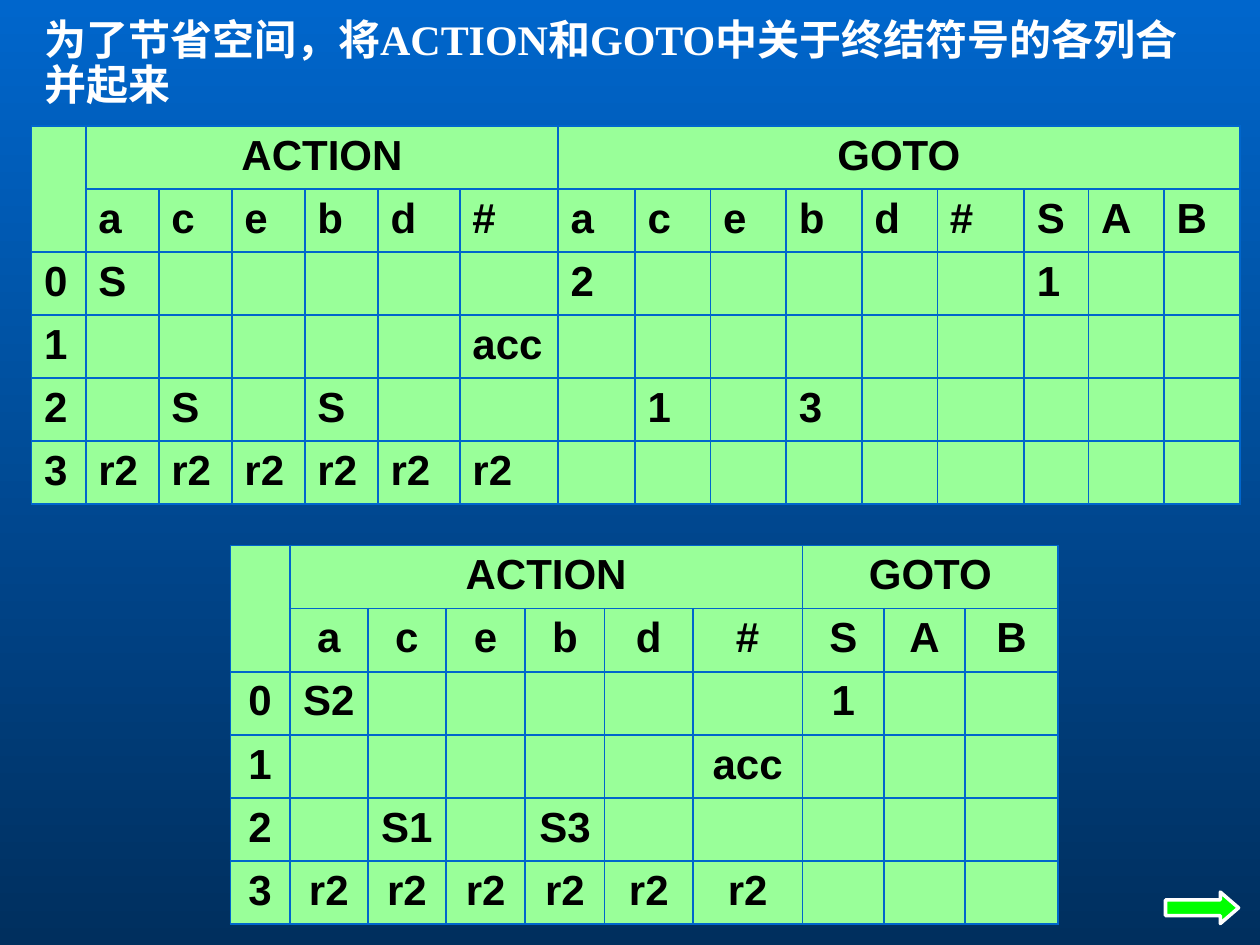
"""Build a slide comparing the full and the merged ACTION/GOTO parsing tables."""
from lxml.etree import SubElement
from pptx import Presentation
from pptx.dml.color import RGBColor
from pptx.enum.shapes import MSO_SHAPE
from pptx.enum.text import MSO_ANCHOR, MSO_AUTO_SIZE, PP_ALIGN
from pptx.oxml.ns import qn
from pptx.util import Inches, Pt

WHITE = RGBColor(0xFF, 0xFF, 0xFF)
BLACK = RGBColor(0x00, 0x00, 0x00)
BLUE = RGBColor(0x00, 0x66, 0xCC)
NAVY = RGBColor(0x00, 0x2F, 0x5E)
PALE_GREEN = RGBColor(0x99, 0xFF, 0x99)
BRIGHT_GREEN = RGBColor(0x00, 0xFF, 0x00)

TITLE = "为了节省空间，将ACTION和GOTO中关于终结符号的各列合并起来"
ROW_HEIGHT = 0.5
TABLES = [
    {
        "left": 0.25, "top": 1, "align": PP_ALIGN.LEFT,
        "widths": [0.43] + [0.58] * 4 + [0.65, 0.78, 0.61] + [0.6] * 4
                  + [0.69, 0.51, 0.6, 0.6],
        "groups": [("ACTION", 6), ("GOTO", 9)],
        "symbols": "acebd#acebd#SAB",
        "states": [
            {1: "S", 7: "2", 13: "1"},
            {6: "acc"},
            {2: "S", 4: "S", 8: "1", 10: "3"},
            dict.fromkeys(range(1, 7), "r2"),
        ],
    },
    {
        "left": 1.83, "top": 4.33, "align": PP_ALIGN.CENTER,
        "widths": [0.47, 0.62, 0.62, 0.63, 0.63, 0.7, 0.87, 0.65, 0.64, 0.74],
        "groups": [("ACTION", 6), ("GOTO", 3)],
        "symbols": "acebd#SAB",
        "states": [
            {1: "S2", 7: "1"},
            {6: "acc"},
            {2: "S1", 4: "S3"},
            dict.fromkeys(range(1, 7), "r2"),
        ],
    },
]


def write(frame, text, font="Arial", color=BLACK, align=PP_ALIGN.LEFT, spacing=None):
    paragraph = frame.paragraphs[0]
    paragraph.alignment = align
    paragraph.line_spacing = spacing
    run = paragraph.add_run()
    run.text = text
    run.font.name = font
    run.font.size = Pt(24)
    run.font.bold = True
    run.font.color.rgb = color


def style_cell(cell):
    properties = cell._tc.get_or_add_tcPr()
    for side in ("a:lnL", "a:lnR", "a:lnT", "a:lnB"):
        line = SubElement(properties, qn(side), w=str(Pt(1.08)))
        fill = SubElement(line, qn("a:solidFill"))
        SubElement(fill, qn("a:srgbClr"), val=str(BLUE))
    cell.fill.solid()
    cell.fill.fore_color.rgb = PALE_GREEN


def add_parsing_table(slide, data):
    widths = data["widths"]
    row_count = len(data["states"]) + 2
    table = slide.shapes.add_table(
        row_count, len(widths), Inches(data["left"]), Inches(data["top"]),
        Inches(sum(widths)), Inches(ROW_HEIGHT * row_count)).table
    table.first_row = table.horz_banding = False
    for column, width in zip(table.columns, widths):
        column.width = Inches(width)
    for row in table.rows:
        row.height = Inches(ROW_HEIGHT)
    for cell in table.iter_cells():
        style_cell(cell)

    table.cell(0, 0).merge(table.cell(1, 0))
    start = 1
    for name, span in data["groups"]:
        cell = table.cell(0, start)
        cell.merge(table.cell(0, start + span - 1))
        write(cell.text_frame, name, align=PP_ALIGN.CENTER)
        start += span

    body = [dict(enumerate(data["symbols"], 1))]
    body += [{0: str(state), **actions} for state, actions in enumerate(data["states"])]
    for row_index, entries in enumerate(body, 1):
        for column_index, text in entries.items():
            write(table.cell(row_index, column_index).text_frame, text,
                  align=data["align"])


def main():
    presentation = Presentation()
    presentation.slide_width, presentation.slide_height = Inches(10), Inches(7.5)
    slide = presentation.slides.add_slide(presentation.slide_layouts[5])

    background = slide.background.fill
    background.gradient()
    background.gradient_angle = 270
    for stop, color, position in zip(background.gradient_stops, (BLUE, NAVY), (0, 1)):
        stop.color.rgb = color
        stop.position = position

    title = slide.shapes.title
    title.left, title.top = Inches(0.25), Inches(0.1)
    title.width, title.height = Inches(9.5), Inches(0.82)
    title.text_frame.word_wrap = True
    title.text_frame.auto_size = MSO_AUTO_SIZE.SHAPE_TO_FIT_TEXT
    title.text_frame.vertical_anchor = MSO_ANCHOR.TOP
    write(title.text_frame, TITLE, font="Times New Roman", color=WHITE, spacing=0.9)

    for data in TABLES:
        add_parsing_table(slide, data)

    arrow = slide.shapes.add_shape(
        MSO_SHAPE.RIGHT_ARROW, Inches(9.25), Inches(7.08), Inches(0.58), Inches(0.25))
    arrow.adjustments[0], arrow.adjustments[1] = 0.5, 0.58
    arrow.shadow.inherit = False
    arrow.fill.solid()
    arrow.fill.fore_color.rgb = BRIGHT_GREEN
    arrow.line.color.rgb = WHITE
    arrow.line.width = Pt(2)

    presentation.save("out.pptx")


if __name__ == "__main__":
    main()
